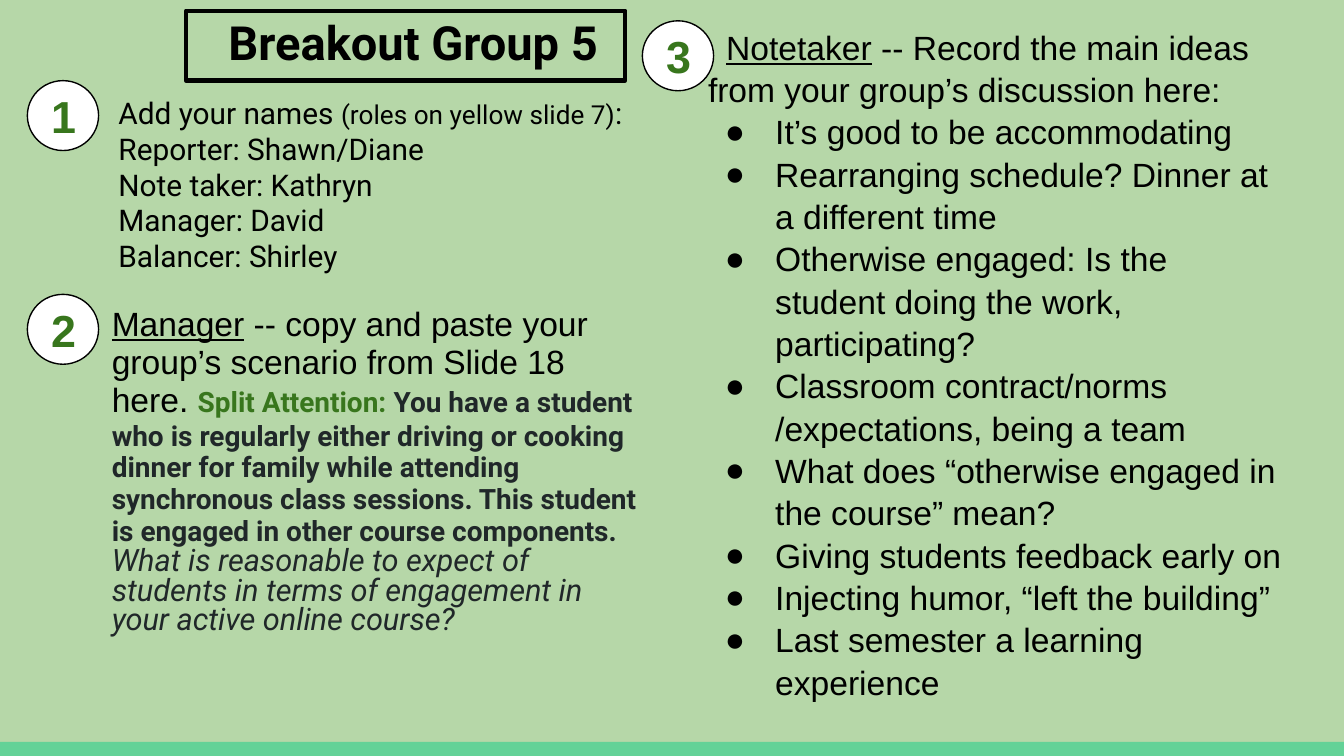
from dataclasses import dataclass, replace
from typing import NamedTuple, Optional

from lxml.etree import SubElement
from pptx import Presentation
from pptx.dml.color import RGBColor
from pptx.enum.shapes import MSO_SHAPE
from pptx.enum.text import MSO_ANCHOR, MSO_AUTO_SIZE, PP_ALIGN
from pptx.oxml.ns import qn
from pptx.util import Inches, Pt

COLORS = {
    "background": "B6D7A8",
    "bar": "63D297",
    "white": "FFFFFF",
    "black": "000000",
    "green": "38761D",
    "slate": "202729",
}
WIDTH = Inches(10)
HEIGHT = WIDTH * 9 // 16
COLUMNS, ROWS = 100, 56.25


class Box(NamedTuple):
    col: float
    row: float
    cols: float
    rows: float


@dataclass(frozen=True)
class Run:
    text: str
    size: float = 18
    font: str = "Arial"
    color: str = "black"
    bold: bool = False
    italic: bool = False
    underline: bool = False


@dataclass(frozen=True)
class Para:
    runs: tuple[Run, ...]
    spacing: Optional[float] = None
    margin: float = 0
    indent: float = 0
    bullet: Optional[str] = None
    align: PP_ALIGN = PP_ALIGN.LEFT


def rgb(name: str) -> RGBColor:
    return RGBColor.from_string(COLORS[name])


def x(cols: float) -> int:
    return round(WIDTH * cols / COLUMNS)


def y(rows: float) -> int:
    return round(HEIGHT * rows / ROWS)


def place(box: Box) -> tuple[int, int, int, int]:
    return x(box.col), y(box.row), x(box.cols), y(box.rows)


def write(sp, paras: list[Para], anchor: MSO_ANCHOR = MSO_ANCHOR.TOP) -> None:
    tf = sp.text_frame
    tf.word_wrap = True
    tf.auto_size = MSO_AUTO_SIZE.NONE
    tf.vertical_anchor = anchor
    tf.margin_left = tf.margin_right = x(1)
    tf.margin_top = tf.margin_bottom = y(1)
    for i, para in enumerate(paras):
        p = tf.paragraphs[0] if i == 0 else tf.add_paragraph()
        p.alignment = para.align
        if para.spacing:
            p.line_spacing = para.spacing
        pPr = p._p.get_or_add_pPr()
        pPr.set("marL", str(x(para.margin)))
        pPr.set("indent", str(x(para.indent)))
        if para.bullet:
            SubElement(pPr, qn("a:buFont"), typeface="Arial")
            SubElement(pPr, qn("a:buChar"), char=para.bullet)
        for run in para.runs:
            r = p.add_run()
            r.text = run.text
            r.font.size = Pt(run.size)
            r.font.name = run.font
            r.font.color.rgb = rgb(run.color)
            r.font.bold = run.bold
            r.font.italic = run.italic
            r.font.underline = run.underline


def add_text(s, box: Box, paras: list[Para]) -> None:
    write(s.shapes.add_textbox(*place(box)), paras)


def add_figure(s, kind: MSO_SHAPE, box: Box, fill: Optional[str] = None,
               line: Optional[str] = None, weight: float = 0.75):
    sp = s.shapes.add_shape(kind, *place(box))
    sp.shadow.inherit = False
    if fill:
        sp.fill.solid()
        sp.fill.fore_color.rgb = rgb(fill)
    else:
        sp.fill.background()
    if line:
        sp.line.color.rgb = rgb(line)
        sp.line.width = Pt(weight)
    else:
        sp.line.fill.background()
    return sp


def add_badge(s, number: int, col: float, row: float) -> None:
    sp = add_figure(s, MSO_SHAPE.OVAL, Box(col, row, 5.3, 5.2), "white", "black")
    label = Run(str(number), 24, color="green", bold=True)
    write(sp, [Para((label,), align=PP_ALIGN.CENTER)], MSO_ANCHOR.MIDDLE)


NAME = Run("", 16, "Roboto")
NAMES = [
    Para((replace(NAME, text="Add your names "),
          replace(NAME, text="(roles on yellow slide 7)", size=14),
          replace(NAME, text=":"))),
    *(Para((replace(NAME, text=text),)) for text in (
        "Reporter: Shawn/Diane",
        "Note taker: Kathryn",
        "Manager: David",
        "Balancer: Shirley",
    )),
]
SCENARIO = [
    Para((
        Run("Manager", underline=True),
        Run(" -- copy and paste your group’s scenario from Slide 18 here. "),
        Run("Split Attention:", 15, "Roboto", "green", bold=True),
        Run(" You have a student who is regularly either driving or cooking "
            "dinner for family while attending synchronous class sessions. "
            "This student is engaged in other course components.",
            15, "Roboto", "slate", bold=True),
    ), 0.95),
    Para((Run("What is reasonable to expect of students in terms of "
              "engagement in your active online course?",
              16.5, "Roboto", "slate", italic=True),), 0.8),
]
NOTES = [
    Para((Run("Notetaker", underline=True),
          Run(" -- Record the main ideas from your group’s discussion here:")),
         1.05, indent=1.35),
    *(Para((Run(text),), 1.05, 5, -3.75, "●") for text in (
        "It’s good to be accommodating",
        "Rearranging schedule? Dinner at a different time",
        "Otherwise engaged: Is the student doing the work, participating?",
        "Classroom contract/norms /expectations, being a team",
        "What does “otherwise engaged in the course” mean?",
        "Giving students feedback early on",
        "Injecting humor, “left the building”",
        "Last semester a learning experience",
    )),
]
BADGES = [(2.04, 6), (2.04, 21.9), (47.8, 1.55)]


def main() -> None:
    prs = Presentation()
    prs.slide_width, prs.slide_height = WIDTH, HEIGHT
    s = prs.slides.add_slide(prs.slide_layouts[5])
    s.background.fill.solid()
    s.background.fill.fore_color.rgb = rgb("background")

    add_figure(s, MSO_SHAPE.RECTANGLE, Box(0, 55.2, COLUMNS, 1.05), "bar")
    add_figure(s, MSO_SHAPE.RECTANGLE, Box(13.84, 0.8, 32.7, 5.2),
               line="black", weight=2.25)

    title = s.shapes.title
    title.left, title.top, title.width, title.height = place(Box(16, 0, 32.7, 5.2))
    write(title, [Para((Run("Breakout Group 5", 25.2, "Roboto", bold=True),))])

    add_text(s, Box(7.34, 21.74, 41.6, 32.7), SCENARIO)
    add_text(s, Box(51.7, 0.84, 44.7, 53.6), NOTES)
    add_text(s, Box(7.83, 6.04, 39.5, 15.5), NAMES)
    for number, (col, row) in enumerate(BADGES, 1):
        add_badge(s, number, col, row)

    prs.save("out.pptx")


if __name__ == "__main__":
    main()
